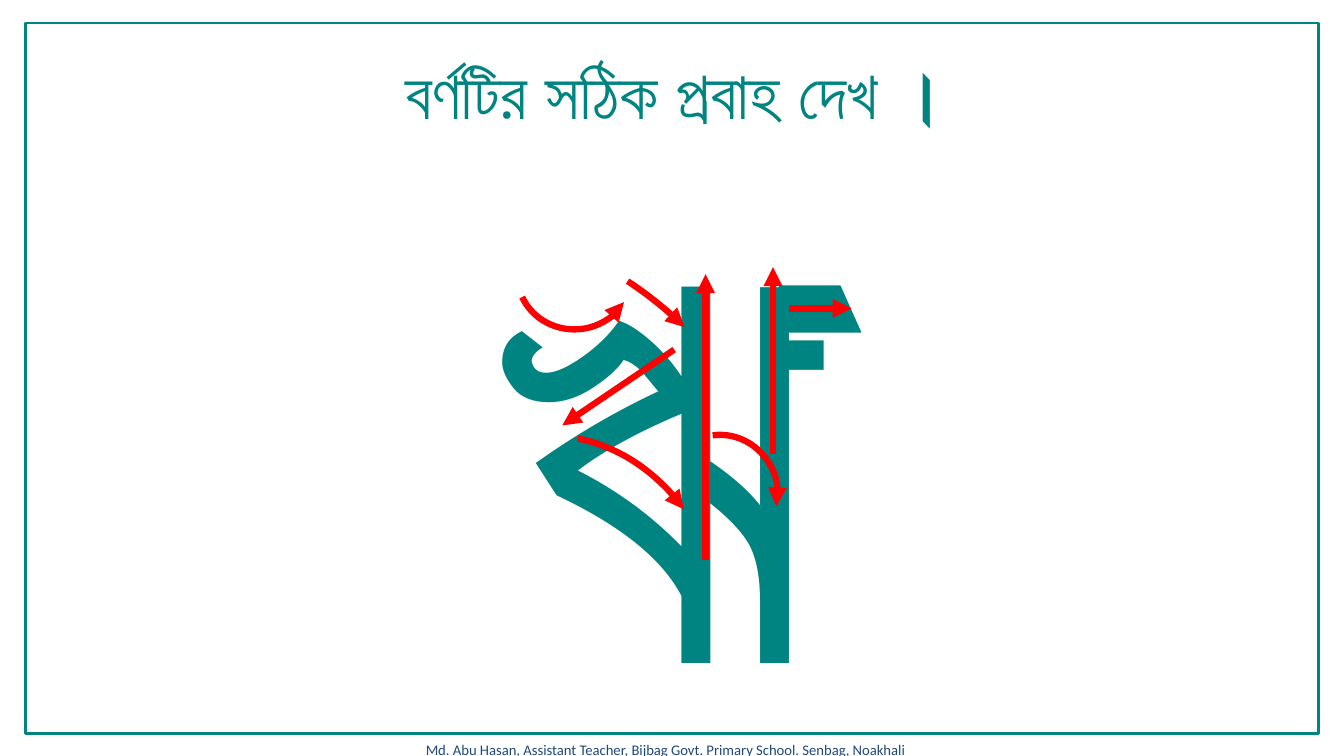
"""Build a slide that shows the stroke order of a Bengali letter."""
from pptx import Presentation
from pptx import util as u
from pptx.dml.color import RGBColor
from pptx.enum import shapes, text
from pptx.oxml.ns import qn
from lxml import etree

TEAL, RED, NAVY = "008481", "FF0000", "1F497D"

FLAG = [(7.72, 5.16), (9.27, 5.16), (9.8, 6.35), (7.72, 6.35)]
CURVED_STROKES = [
    ((1.12, 3.48, 2.9, 2.79), 176.9, (120.36, 196.41), True),
    ((1.09, 5.41, 5.99, 1.88), 39.1, (133.81, 188.84), False),
    ((-1.67, 8.89, 7.87, 8.94), 339.9, (177.06, 204.13), False),
    ((4.83, 8.97, 2.9, 2.79), 60.2, (120.36, 188.84), False),
]
STRAIGHT_STROKES = [
    ((5.08, 6.78), (2.26, 8.69)),
    ((5.87, 12.09), (5.87, 4.88)),
    ((7.57, 9.4), (7.57, 4.7)),
    ((7.98, 5.74), (9.55, 5.74)),
]


def color(value):
    """Return the colour for a hex string."""
    return RGBColor.from_string(value)


def add_label(slide, box, wording, size, hue, bold=False):
    """Add one centred line of text in a box."""
    shape = slide.shapes.add_textbox(*map(u.Cm, box))
    frame = shape.text_frame
    frame.word_wrap = True
    frame.text = wording
    paragraph = frame.paragraphs[0]
    paragraph.alignment = text.PP_ALIGN.CENTER
    font = paragraph.runs[0].font
    font.name, font.size, font.bold = "Calibri", u.Pt(size), bold
    font.color.rgb = color(hue)


def add_frame(slide, box):
    """Draw the border around the slide."""
    border = slide.shapes.add_shape(shapes.MSO_SHAPE.RECTANGLE, *map(u.Cm, box))
    border.shadow.inherit = False
    border.fill.background()
    border.line.color.rgb = color(TEAL)
    border.line.width = u.Pt(2)


def style_arrow(shape):
    """Make a line a thick red arrow without a shadow."""
    shape.line.color.rgb = color(RED)
    shape.line.width = u.Pt(4.5)
    properties = shape._element.spPr
    etree.SubElement(properties.find(qn("a:ln")), qn("a:tailEnd"), type="triangle")
    if properties.find(qn("a:effectLst")) is None:
        etree.SubElement(properties, qn("a:effectLst"))


def add_letter(slide, box):
    """Add the large letter and the flag on its right stem."""
    left, top = box[:2]
    add_label(slide, box, "ঋ", 413, TEAL, bold=True)
    points = [(u.Cm(left + x), u.Cm(top + y)) for x, y in FLAG]
    builder = slide.shapes.build_freeform(*points[0])
    builder.add_line_segments(points[1:], close=True)
    flag = builder.convert_to_shape()
    flag.shadow.inherit = False
    flag.fill.solid()
    flag.fill.fore_color.rgb = color(TEAL)
    flag.line.fill.background()


def add_strokes(slide, box):
    """Add the curved and straight arrows over the letter."""
    left, top = box[:2]
    for (x, y, width, height), rotation, angles, flipped in CURVED_STROKES:
        place = map(u.Cm, (left + x, top + y, width, height))
        arc = slide.shapes.add_shape(shapes.MSO_SHAPE.ARC, *place)
        arc.rotation = rotation
        arc.adjustments[0], arc.adjustments[1] = angles
        arc.fill.background()
        arc.shadow.inherit = False
        if flipped:
            arc._element.spPr.find(qn("a:xfrm")).set("flipH", "1")
        style_arrow(arc)
    for start, end in STRAIGHT_STROKES:
        ends = [u.Cm(value) for x, y in (start, end) for value in (left + x, top + y)]
        style_arrow(slide.shapes.add_connector(shapes.MSO_CONNECTOR.STRAIGHT, *ends))


def main():
    """Build and save the presentation."""
    presentation = Presentation()
    presentation.slide_width, presentation.slide_height = u.Cm(33.87), u.Cm(19.05)
    slide = presentation.slides.add_slide(presentation.slide_layouts[6])
    letter_box = (11.91, 2.03, 9.09, 17.91)
    add_label(slide, (8.89, 18.54, 15.77, 0.71),
              "Md. Abu Hasan, Assistant Teacher, Bijbag Govt. Primary School. Senbag, Noakhali",
              10.5, NAVY)
    add_frame(slide, (0.64, 0.58, 32.59, 17.91))
    add_label(slide, (4.45, 1.19, 25.05, 2.31), "বর্ণটির সঠিক প্রবাহ দেখ ।", 48, TEAL, bold=True)
    add_letter(slide, letter_box)
    add_strokes(slide, letter_box)
    presentation.save("out.pptx")


if __name__ == "__main__":
    main()
